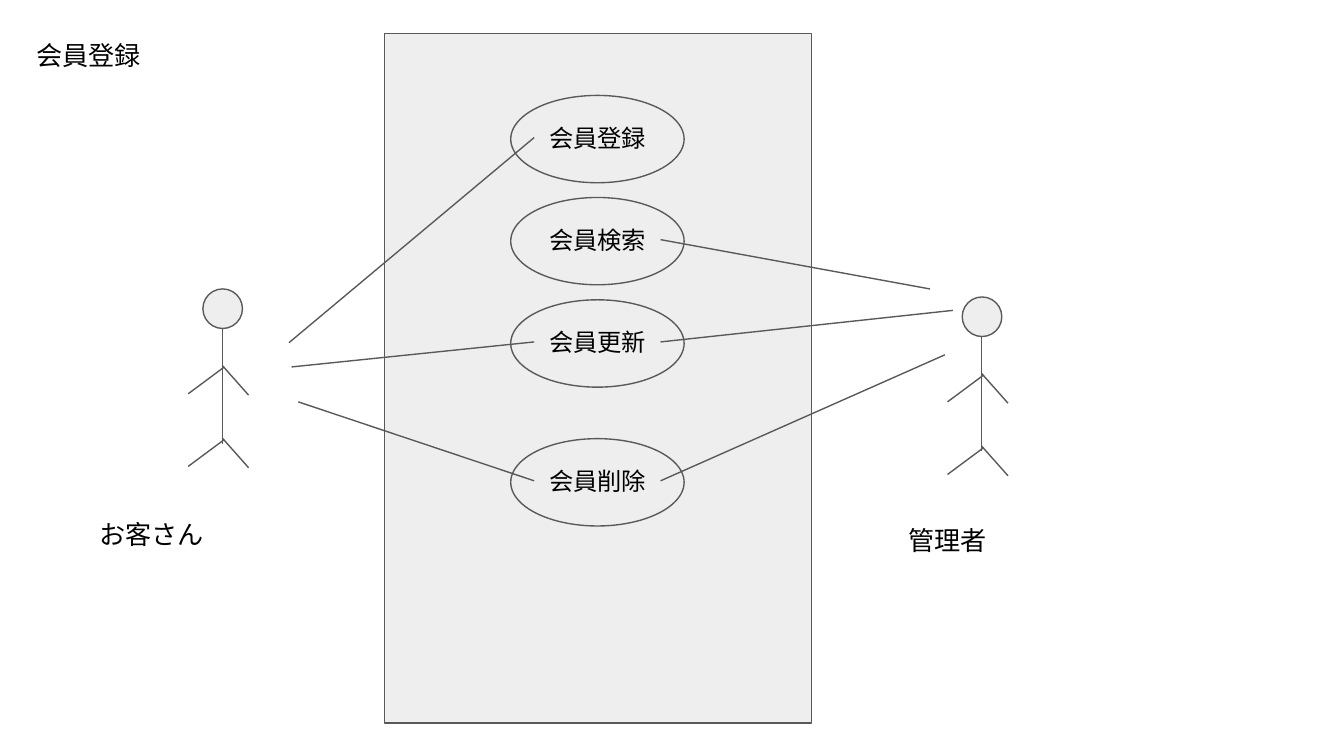
from lxml.etree import SubElement
from pptx import Presentation
from pptx.dml.color import RGBColor
from pptx.enum.shapes import MSO_CONNECTOR, MSO_SHAPE
from pptx.enum.text import MSO_ANCHOR, MSO_AUTO_SIZE, PP_ALIGN
from pptx.oxml.ns import qn
from pptx.util import Pt

THEME = {
    "font": "Arial",
    "text": RGBColor(0x00, 0x00, 0x00),
    "fill": RGBColor(0xEE, 0xEE, 0xEE),
    "line": RGBColor(0x59, 0x59, 0x59),
    "line_width": 0.75,
    "label_size": 14,
    "case_size": 13,
    "inset": 7.2,
}

TITLE = "会員登録"
TITLE_BOX = (12.2, 13.7, 138.2, 31.7)
SYSTEM_BOX = (205.9, 18, 229, 369.4)

USE_CASES = [("会員登録", 51.1), ("会員検索", 105.8), ("会員更新", 160.6), ("会員削除", 235)]
CASE_LEFT, CASE_WIDTH, CASE_HEIGHT = 273.6, 92.9, 46.8
LABEL_WIDTH, LABEL_HEIGHT = 67.7, 30.2

ACTORS = [
    {
        "name": "お客さん",
        "head": (108.7, 154.8),
        "label": (46.1, 270.7, 133.9, 31.7),
        "side": "left",
        "links": [(0, 154.8, 183.6), (2, 156.2, 196.6), (3, 159.8, 215.3)],
    },
    {
        "name": "管理者",
        "head": (515.5, 159.1),
        "label": (479.5, 273.6, 131.8, 31.7),
        "side": "right",
        "links": [(1, 498.2, 154.8), (2, 510.5, 166.3), (3, 506.2, 190.1)],
    },
]

HEAD_SIZE = 21.2
BODY = (10.4, 21.2, 10.4, 82.8)
LIMB_PAIR = [(11.5, 41.8, -7.9, 56.2), (10.4, 41, 24.5, 56.9)]
LEG_DROP = 38.9


def write_text(shape, text, size, align=PP_ALIGN.LEFT, wrap=True):
    frame = shape.text_frame
    frame.auto_size = MSO_AUTO_SIZE.NONE
    frame.word_wrap = wrap
    frame.vertical_anchor = MSO_ANCHOR.TOP
    frame.margin_left = frame.margin_right = Pt(THEME["inset"])
    frame.margin_top = frame.margin_bottom = Pt(THEME["inset"])
    paragraph = frame.paragraphs[0]
    paragraph.alignment = align
    run = paragraph.add_run()
    run.text = text
    run.font.size = Pt(size)
    run.font.name = THEME["font"]
    run.font.color.rgb = THEME["text"]


def style_line(line):
    line.color.rgb = THEME["line"]
    line.width = Pt(THEME["line_width"])


def add_outline(slide, kind, box):
    shape = slide.shapes.add_shape(kind, *map(Pt, box))
    shape.shadow.inherit = False
    shape.fill.solid()
    shape.fill.fore_color.rgb = THEME["fill"]
    style_line(shape.line)


def add_line(slide, ends):
    connector = slide.shapes.add_connector(MSO_CONNECTOR.STRAIGHT, *map(Pt, ends))
    style_line(connector.line)
    SubElement(connector._element.spPr, qn("a:effectLst"))


def add_label(slide, text, box, **text_format):
    write_text(slide.shapes.add_textbox(*map(Pt, box)), text, **text_format)


def add_title(slide):
    title = slide.shapes.title
    title.left, title.top, title.width, title.height = map(Pt, TITLE_BOX)
    write_text(title, TITLE, size=THEME["label_size"])


def add_use_case(slide, text, top):
    add_outline(slide, MSO_SHAPE.OVAL, (CASE_LEFT, top, CASE_WIDTH, CASE_HEIGHT))
    label_left = CASE_LEFT + (CASE_WIDTH - LABEL_WIDTH) / 2
    label_box = (label_left, top + 7.5, LABEL_WIDTH, LABEL_HEIGHT)
    add_label(slide, text, label_box, size=THEME["case_size"],
              align=PP_ALIGN.CENTER, wrap=False)


def add_actor(slide, actor):
    left, top = actor["head"]
    add_outline(slide, MSO_SHAPE.OVAL, (left, top, HEAD_SIZE, HEAD_SIZE))
    arms_and_legs = [(x1, y1 + drop, x2, y2 + drop)
                     for drop in (0, LEG_DROP) for x1, y1, x2, y2 in LIMB_PAIR]
    for x1, y1, x2, y2 in [BODY] + arms_and_legs:
        add_line(slide, (left + x1, top + y1, left + x2, top + y2))
    add_label(slide, actor["name"], actor["label"], size=THEME["label_size"])


def add_links(slide, actor):
    label_left = CASE_LEFT + (CASE_WIDTH - LABEL_WIDTH) / 2
    case_x = label_left if actor["side"] == "left" else label_left + LABEL_WIDTH
    for case, x, y in actor["links"]:
        case_y = USE_CASES[case][1] + 7.5 + LABEL_HEIGHT / 2
        add_line(slide, (case_x, case_y, x, y))


def main():
    presentation = Presentation()
    presentation.slide_width, presentation.slide_height = Pt(720), Pt(405)
    slide = presentation.slides.add_slide(presentation.slide_layouts[5])
    add_title(slide)
    add_outline(slide, MSO_SHAPE.RECTANGLE, SYSTEM_BOX)
    for text, top in USE_CASES:
        add_use_case(slide, text, top)
    for actor in ACTORS:
        add_actor(slide, actor)
        add_links(slide, actor)
    presentation.save("out.pptx")


if __name__ == "__main__":
    main()
